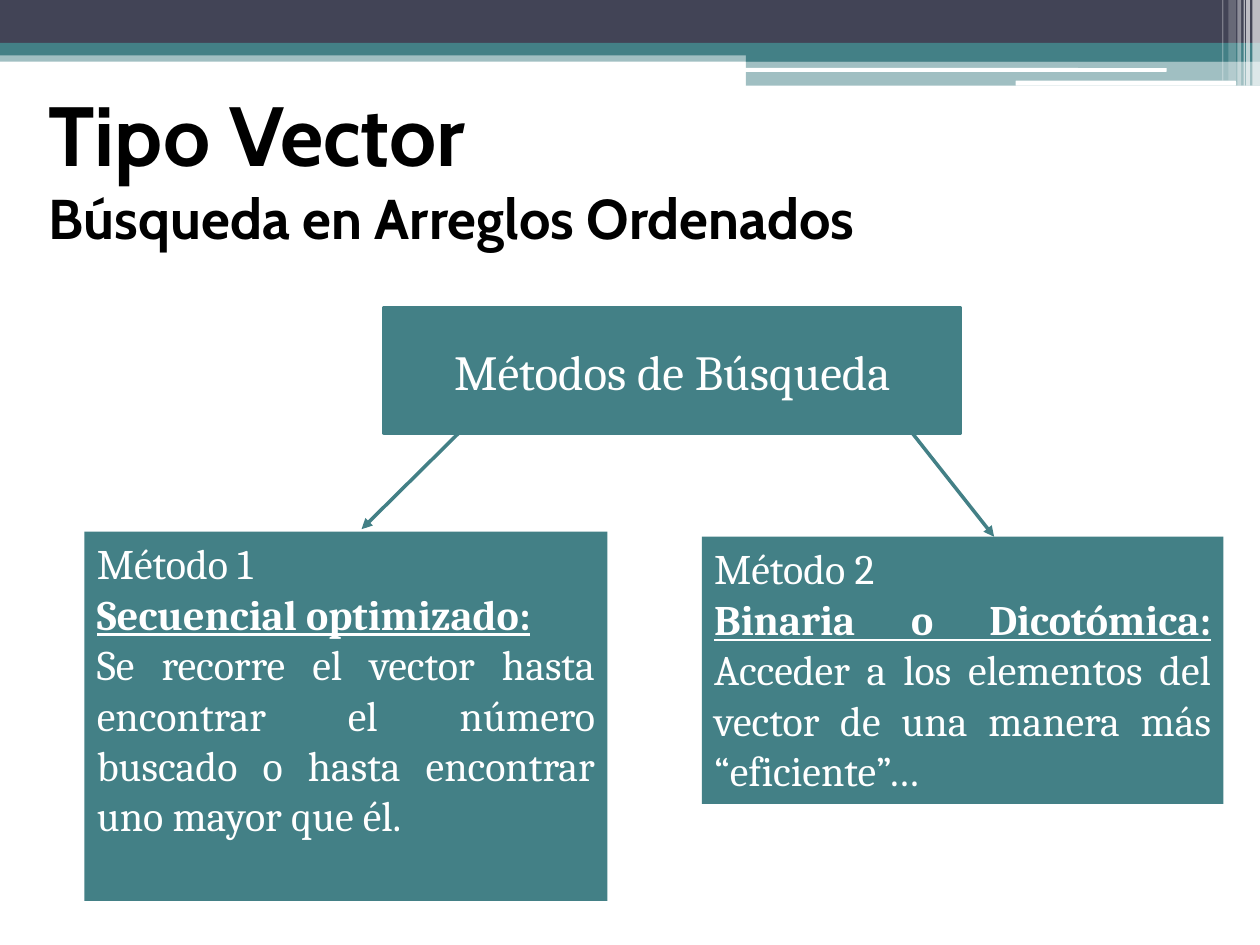
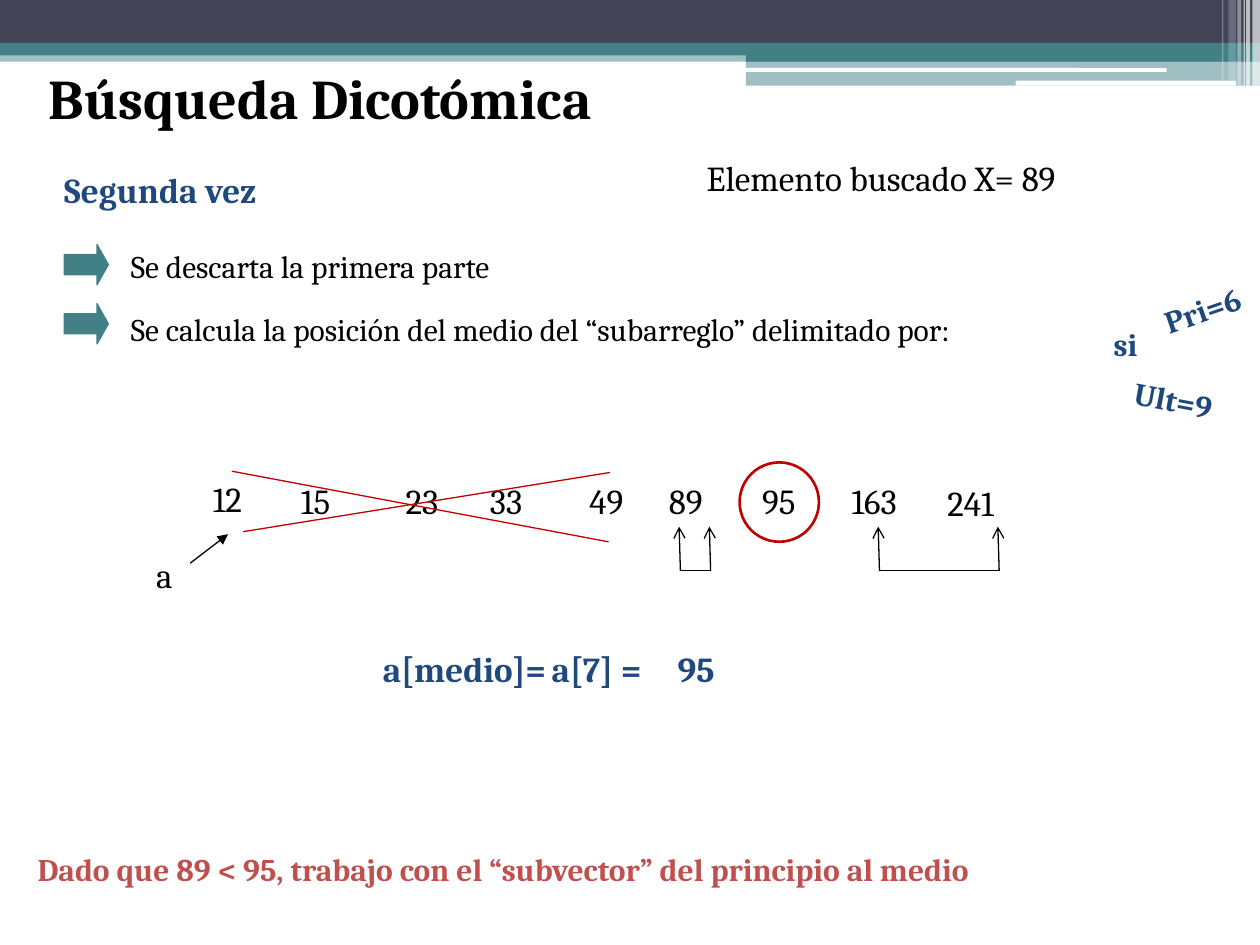
from lxml.etree import SubElement
from pptx import Presentation
from pptx.dml.color import RGBColor
from pptx.enum.shapes import MSO_CONNECTOR, MSO_SHAPE
from pptx.enum.text import MSO_ANCHOR, MSO_AUTO_SIZE, PP_ALIGN
from pptx.oxml.ns import qn
from pptx.util import Inches, Pt

TEAL, SLATE, WHITE, BLACK = "438086", "424456", "FFFFFF", "000000"
NAVY, RED, BRICK = "1F497D", "C00000", "C0504D"
SERIF, SANS = "Cambria", "Cabin"

BANDS = [
    (0, 0.4, 10, 0.09, TEAL, 50),
    (0, 0, 10, 0.34, SLATE, 100),
    (0, 0.34, 10, 0.1, TEAL, 100),
    (5.92, 0.39, 4.08, 0.1, TEAL, 100),
    (5.92, 0.48, 4.08, 0.2, TEAL, 50),
]
PILLS = [(5.91, 0.54, 3.35, 0.03), (8.06, 0.64, 1.75, 0.04)]
STRIPES = [
    (9.94, 0.06, 0.68, 65),
    (9.89, 0.03, 0.68, 65),
    (9.87, 0.01, 0.68, 60),
    (9.82, 0.03, 0.68, 40),
    (9.75, 0.06, 0.64, 20),
    (9.7, 0.01, 0.64, 30),
]


def paint(color_format, hex_color):
    color_format.rgb = RGBColor.from_string(hex_color)


def apply(target, values):
    for name, value in values.items():
        setattr(target, name, value)


def add_block(slide, kind, left, top, width, height, fill=None, opacity=100,
              line=None, line_width=0.75):
    shape = slide.shapes.add_shape(
        kind, Inches(left), Inches(top), Inches(width), Inches(height))
    shape.shadow.inherit = False
    if fill:
        shape.fill.solid()
        paint(shape.fill.fore_color, fill)
        if opacity < 100:
            color = shape.fill._xPr.find(".//" + qn("a:srgbClr"))
            SubElement(color, qn("a:alpha"), val=str(opacity * 1000))
    else:
        shape.fill.background()
    if line:
        paint(shape.line.color, line)
        shape.line.width = Pt(line_width)
    else:
        shape.line.fill.background()
    return shape


def add_line(slide, start, end, color, width=0.75, head=None):
    connector = slide.shapes.add_connector(
        MSO_CONNECTOR.STRAIGHT, *(Inches(value) for value in (*start, *end)))
    paint(connector.line.color, color)
    connector.line.width = Pt(width)
    if head:
        SubElement(connector.line._get_or_add_ln(), qn("a:tailEnd"), type=head)
    SubElement(connector._element.spPr, qn("a:effectLst"))


def write(frame, paragraphs, size, color, align=PP_ALIGN.LEFT, font=SERIF):
    for index, runs in enumerate(paragraphs):
        paragraph = frame.add_paragraph() if index else frame.paragraphs[0]
        paragraph.alignment = align
        for text, style in runs:
            run = paragraph.add_run()
            run.text = text
            apply(run.font, {"name": font, "size": Pt(size), **style})
            paint(run.font.color, color)


def add_label(slide, text, left, top, width, height=0.44, size=20,
              color=BLACK, bold=False, wrap=False, rotation=0):
    label = slide.shapes.add_textbox(
        Inches(left), Inches(top), Inches(width), Inches(height))
    label.rotation = rotation
    fit = MSO_AUTO_SIZE.NONE if wrap else MSO_AUTO_SIZE.SHAPE_TO_FIT_TEXT
    apply(label.text_frame, {"word_wrap": wrap, "auto_size": fit})
    write(label.text_frame, [[(text, {"bold": bold})]], size, color)


def add_bands(slide):
    for left, top, width, height, color, opacity in BANDS:
        add_block(slide, MSO_SHAPE.RECTANGLE, left, top, width, height, color, opacity)
    for pill in PILLS:
        add_block(slide, MSO_SHAPE.ROUNDED_RECTANGLE, *pill, WHITE)
    for left, width, height, opacity in STRIPES:
        add_block(slide, MSO_SHAPE.RECTANGLE, left, 0, width, height, WHITE, opacity)


def add_title(slide, bottom, lines, font):
    height = min(bottom, 1.43)
    title = slide.shapes.add_textbox(
        Inches(0.29), Inches(bottom - height), Inches(9.41), Inches(height))
    apply(title.text_frame, {
        "word_wrap": True, "vertical_anchor": MSO_ANCHOR.BOTTOM,
        "margin_bottom": Inches(0.1)})
    paragraphs = [[(text, {"size": Pt(size), "bold": True})] for text, size in lines]
    write(title.text_frame, paragraphs, 32, BLACK, font=font)


def add_slide(presentation, title_bottom, title_lines, title_font):
    slide = presentation.slides.add_slide(presentation.slide_layouts[6])
    add_bands(slide)
    add_title(slide, title_bottom, title_lines, title_font)
    return slide


def add_methods_root(slide, left, top, width, height):
    root = add_block(slide, MSO_SHAPE.RECTANGLE, left, top, width, height,
                     TEAL, line=TEAL, line_width=2)
    root.text_frame.vertical_anchor = MSO_ANCHOR.MIDDLE
    write(root.text_frame, [[("Métodos de Búsqueda", {})]], 28, WHITE, PP_ALIGN.CENTER)
    for start_x, end_x, end_y in [(0.77, -0.18, 1.76), (4.05, 4.84, 1.82)]:
        add_line(slide, (left + start_x, top + 0.82), (left + end_x, top + end_y),
                 TEAL, 2, "triangle")


def add_method(slide, left, top, width, height, paragraphs):
    box = add_block(slide, MSO_SHAPE.RECTANGLE, left, top, width, height, TEAL)
    apply(box.text_frame, {"word_wrap": True, "vertical_anchor": MSO_ANCHOR.TOP})
    write(box.text_frame, paragraphs, 24, WHITE, PP_ALIGN.JUSTIFY)


def build_methods_slide(presentation):
    slide = add_slide(presentation, 2.09, [
        ("Tipo Vector", 48), ("Búsqueda en Arreglos Ordenados", 32)], SANS)
    heading = {"bold": True, "underline": True}
    add_methods_root(slide, 3.05, 2.44, 4.57, 1)
    add_method(slide, 0.67, 4.22, 4.15, 2.93, [
        [("Método 1", {})],
        [("Secuencial optimizado:", heading)],
        [("Se recorre el vector hasta encontrar el número buscado o hasta "
          "encontrar uno mayor que él.", {})],
    ])
    add_method(slide, 5.57, 4.26, 4.14, 2.12, [
        [("Método 2", {})],
        [("Binaria o Dicotómica: ", heading),
         ("Acceder a los elementos del vector de una manera más “eficiente”…", {})],
    ])


def add_steps(slide, left, top):
    steps = [
        ("Se descarta la primera parte", 0, 0.03),
        ("Se calcula la posición del medio del “subarreglo” delimitado por:", 0.5, 0.5),
    ]
    for text, text_y, arrow_y in steps:
        add_label(slide, text, left + 0.43, top + text_y, 8.03, 0.4, 18, wrap=True)
        arrow = add_block(slide, MSO_SHAPE.RIGHT_ARROW, left, top + arrow_y,
                          0.35, 0.32, TEAL, line=TEAL)
        arrow.adjustments[1] = 0.28


def add_limits(slide, left, top):
    limits = [("Pri=6", 0.39, 0, 0.93, 341), ("Ult=9", 0.16, 0.76, 1.1, 10.8),
              ("si", 0, 0.29, 0.51, 0)]
    for text, x, y, width, rotation in limits:
        add_label(slide, text, left + x, top + y, width, 0.4, 18, NAVY, True, True, rotation)


def add_bracket(slide, left, right, top, bottom):
    add_line(slide, (left, bottom), (right, bottom), BLACK)
    for x in (left, right):
        add_line(slide, (x, bottom), (x - 0.01, top), BLACK, head="arrow")


def add_vector(slide, left, top):
    values = [(12, 0, 0.48), (15, 0.7, 0.47), (23, 1.53, 0.51), (33, 2.2, 0.51),
              (49, 2.99, 0.52), (89, 3.62, 0.53), (95, 4.36, 0.51),
              (163, 5.07, 0.65), (241, 5.83, 0.65)]
    for index, (value, x, width) in enumerate(values):
        y = {0: -0.01, 8: 0.02}.get(index, 0.01)
        add_label(slide, str(value), left + x, top + y, width)
    add_label(slide, "a", left - 0.45, top + 0.59, 0.34)
    add_line(slide, (left - 0.08, top + 0.72), (left + 0.22, top + 0.49),
             BLACK, head="triangle")
    for start, end in [(3.81, 4.05), (5.39, 6.34)]:
        add_bracket(slide, left + start, left + end, top + 0.43, top + 0.78)
    add_line(slide, (left + 0.25, top - 0.01), (left + 3.24, top + 0.55), RED)
    add_line(slide, (left + 0.34, top + 0.47), (left + 3.25, top), RED)
    add_block(slide, MSO_SHAPE.OVAL, left + 4.28, top - 0.08, 0.63, 0.63,
              line=RED, line_width=1.5)


def add_middle(slide, left, top):
    for text, x, width in [("a[medio]=", 0, 1.73), ("a[7] =", 1.34, 1.04), ("95", 2.34, 0.55)]:
        add_label(slide, text, left + x, top, width, color=NAVY, bold=True)


def build_search_slide(presentation):
    slide = add_slide(presentation, 1.14, [("Búsqueda Dicotómica", 32)], SERIF)
    add_label(slide, "Segunda vez", 0.41, 1.29, 1.98, color=NAVY, bold=True)
    add_label(slide, "Elemento buscado X= 89", 5.51, 1.19, 3.37)
    add_steps(slide, 0.51, 1.91)
    add_limits(slide, 8.74, 2.24)
    add_vector(slide, 1.59, 3.75)
    add_middle(slide, 2.94, 5.09)
    add_label(slide, "Dado que 89 < 95, trabajo con el “subvector” del principio al medio",
              0.2, 6.7, 9.61, 0.7, 18, BRICK, True, True)


def main():
    presentation = Presentation()
    apply(presentation, {"slide_width": Inches(10), "slide_height": Inches(7.5)})
    build_methods_slide(presentation)
    build_search_slide(presentation)
    presentation.save("out.pptx")


if __name__ == "__main__":
    main()
